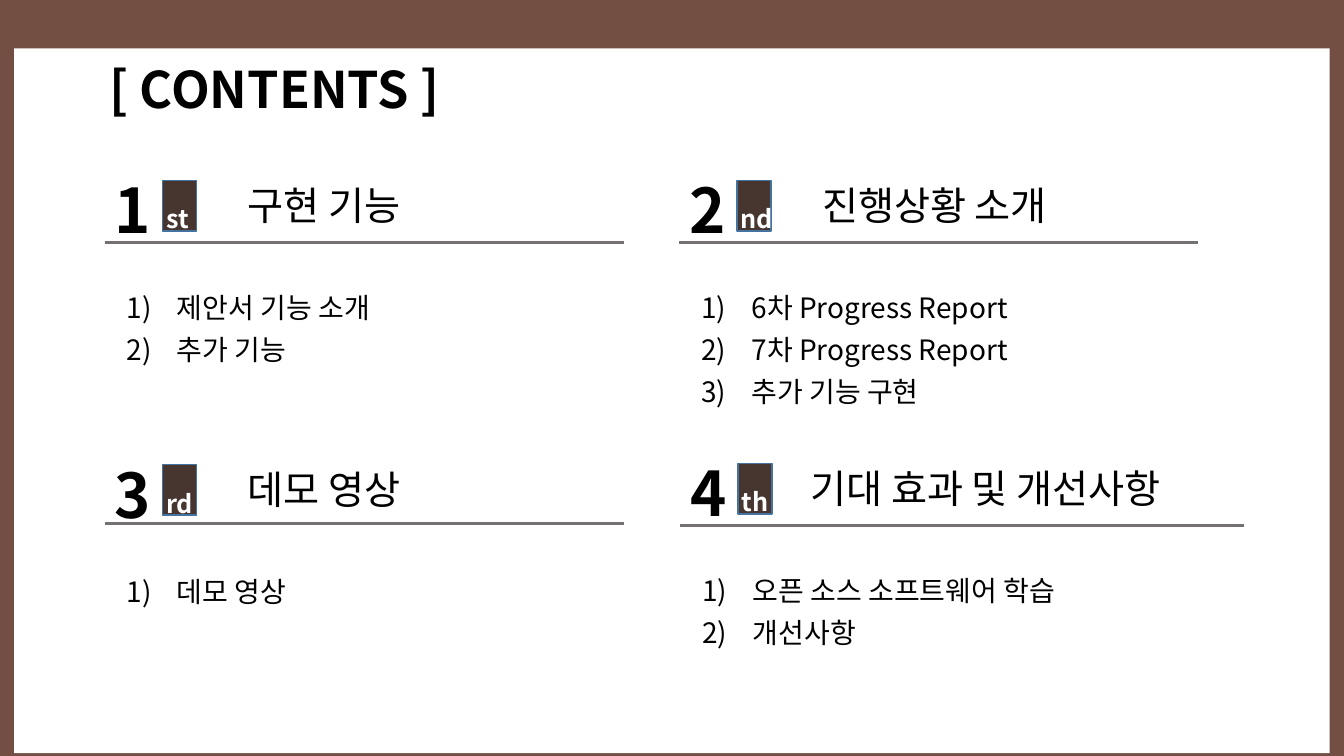
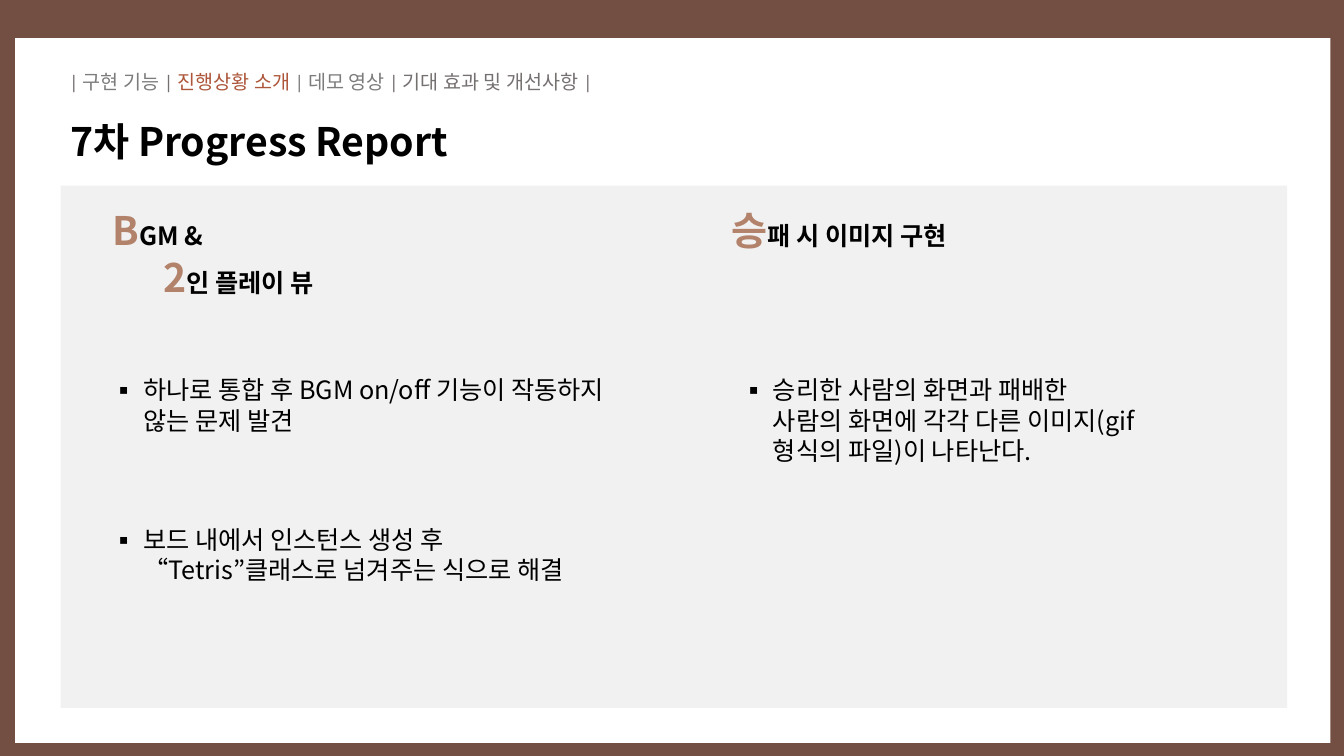
from dataclasses import dataclass

from lxml.etree import SubElement
from pptx import Presentation
from pptx.dml.color import RGBColor
from pptx.enum.shapes import MSO_CONNECTOR as Connector, MSO_SHAPE as Shape
from pptx.enum.text import MSO_AUTO_SIZE as AutoSize
from pptx.oxml.ns import qn
from pptx.util import Cm, Pt


@dataclass(frozen=True)
class Theme:
    font: str = "Noto Sans CJK KR"
    menu_font: str = "Calibri"
    frame: str = "734F43"
    paper: str = "FFFFFF"
    panel: str = "F1F1F1"
    ink: str = "000000"
    rule: str = "767171"
    menu: str = "7C7C7C"
    menu_active: str = "AD563A"
    initial: str = "B2826B"
    badge: str = "47362F"
    badge_line: str = "43739E"
    contents_size: int = 36
    number_size: int = 44
    heading_size: int = 28
    item_size: int = 20
    body_size: int = 18
    menu_size: int = 14


@dataclass(frozen=True)
class Span:
    """A stretch of text that may differ from its paragraph's font."""
    text: str
    color: str | None = None
    size: int | None = None


@dataclass(frozen=True)
class Bullet:
    tag: str
    attribute: str
    value: str
    indent: float


@dataclass(frozen=True)
class Section:
    left: float
    top: float
    number: str
    suffix: str
    heading: str
    items: tuple
    heading_offset: float = 3.35
    rule_offset: float = 1.9
    rule_width: float = 13.08


THEME = Theme()
NUMBERED = Bullet("a:buAutoNum", "type", "arabicParenR", 1.27)
SQUARE = Bullet("a:buChar", "char", "▪", 0.79)

SECTIONS = (
    Section(2.64, 4.22, "1", "st", "구현 기능",
            ("제안서 기능 소개", "추가 기능")),
    Section(2.64, 11.38, "3", "rd", "데모 영상", ("데모 영상",),
            rule_offset=1.82),
    Section(17.12, 4.22, "2", "nd", "진행상황 소개",
            ("6차 Progress Report", "7차 Progress Report", "추가 기능 구현")),
    Section(17.15, 11.35, "4", "th", "기대 효과 및 개선사항",
            ("오픈 소스 소프트웨어 학습", "개선사항"),
            heading_offset=3.02, rule_width=14.2),
)


def rgb(color):
    return RGBColor.from_string(color)


def add_rectangle(shapes, box, fill, line=None):
    shape = shapes.add_shape(Shape.RECTANGLE, *map(Cm, box))
    shape.shadow.inherit = False
    shape.fill.solid()
    shape.fill.fore_color.rgb = rgb(fill)
    if line:
        shape.line.color.rgb = rgb(line)
        shape.line.width = Pt(1)
    else:
        shape.line.fill.background()


def add_rule(shapes, left, top, width):
    rule = shapes.add_connector(
        Connector.STRAIGHT, Cm(left), Cm(top), Cm(left + width), Cm(top))
    rule.line.color.rgb = rgb(THEME.rule)
    rule.line.width = Pt(2.25)
    SubElement(rule._element.spPr, qn("a:effectLst"))


def set_bullet(paragraph, bullet):
    properties = paragraph._p.get_or_add_pPr()
    indent = Cm(bullet.indent)
    properties.set("marL", str(indent))
    properties.set("indent", str(-indent))
    SubElement(properties, qn("a:buFont")).set("typeface", THEME.font)
    SubElement(properties, qn(bullet.tag)).set(bullet.attribute, bullet.value)


def set_font(paragraph, size, color, bold, name):
    """Set the paragraph font, with the theme font for Korean letters."""
    font = paragraph.font
    font.size = Pt(size)
    font.bold = bold
    font.color.rgb = rgb(color)
    font.name = name
    defaults = paragraph._p.pPr.find(qn("a:defRPr"))
    SubElement(defaults, qn("a:ea")).set("typeface", THEME.font)


def add_text(shapes, box, paragraphs, size, color=THEME.ink, bold=False,
             name=THEME.font, bullet=None, line_spacing=None):
    """Add a text box; each paragraph is a tuple of spans."""
    frame = shapes.add_textbox(*map(Cm, box)).text_frame
    frame.word_wrap = True
    frame.auto_size = AutoSize.SHAPE_TO_FIT_TEXT
    for index, spans in enumerate(paragraphs):
        paragraph = frame.add_paragraph() if index else frame.paragraphs[0]
        if line_spacing:
            paragraph.line_spacing = Pt(line_spacing)
        if bullet:
            set_bullet(paragraph, bullet)
        set_font(paragraph, size, color, bold, name)
        for span in spans:
            run = paragraph.add_run()
            run.text = span.text
            if span.color:
                run.font.color.rgb = rgb(span.color)
            if span.size:
                run.font.size = Pt(span.size)


def add_line(shapes, box, text, size, **style):
    add_text(shapes, box, [(Span(text),)], size, **style)


def add_framed_slide(presentation, left, top):
    """Add a slide with a white page on the brown frame."""
    slide = presentation.slides.add_slide(presentation.slide_layouts[6])
    slide.background.fill.solid()
    slide.background.fill.fore_color.rgb = rgb(THEME.frame)
    add_rectangle(slide.shapes, (left, top, 33.15, 17.76), THEME.paper)
    return slide


def add_section(slide, section):
    shapes = slide.shapes.add_group_shape().shapes
    left, top = section.left, section.top
    add_rule(shapes, left, top + section.rule_offset, section.rule_width)
    add_line(shapes, (left, top, 1.47, 2.13), section.number,
             THEME.number_size, bold=True)
    add_rectangle(shapes, (left + 1.45, top + 0.33, 0.86, 1.27),
                  THEME.badge, THEME.badge_line)
    add_line(shapes, (left + 1.3, top + 0.79, 1.47, 1.02), section.suffix,
             THEME.body_size, color=THEME.paper, bold=True)
    add_line(shapes, (left + section.heading_offset, top + 0.23, 10.64, 1.45),
             section.heading, THEME.heading_size)
    add_text(shapes, (left + 0.3, top + 2.77, 13.08, 2.39),
             [(Span(item),) for item in section.items], THEME.item_size,
             bullet=NUMBERED, line_spacing=30)


def add_topic_heading(slide, box, lines):
    """Add a bold heading whose lines each start with a large initial."""
    paragraphs = [
        (Span(initial, THEME.initial, THEME.heading_size), Span(rest))
        for initial, rest in lines]
    add_text(slide.shapes, box, paragraphs, THEME.body_size, bold=True)


def add_point(slide, box, text):
    add_line(slide.shapes, box, text, THEME.body_size, bullet=SQUARE)


def build_contents(presentation):
    slide = add_framed_slide(presentation, 0.36, 1.22)
    add_line(slide.shapes, (2.51, 1.35, 15.75, 1.8), "[ CONTENTS ]",
             THEME.contents_size, bold=True)
    for section in SECTIONS:
        add_section(slide, section)


def build_progress_report(presentation):
    slide = add_framed_slide(presentation, 0.38, 0.96)
    menu = (
        Span("| "), Span("구현 기능 ", THEME.menu), Span("| "),
        Span("진행상황 소개 ", THEME.menu_active),
        Span("| 데모 영상 ", THEME.menu), Span("| 기대 효과 및 개선사항 |"))
    add_text(slide.shapes, (1.5, 1.63, 18.24, 0.86), [menu], THEME.menu_size,
             color=THEME.rule, name=THEME.menu_font)
    add_line(slide.shapes, (1.52, 2.82, 11.3, 1.45), "7차 Progress Report",
             THEME.heading_size, bold=True)
    add_rectangle(slide.shapes, (1.53, 4.68, 30.91, 13.16), THEME.panel)
    add_topic_heading(slide, (2.59, 5.08, 11.76, 2.64),
                      [("B", "GM &"), ("\t2", "인 플레이 뷰")])
    add_topic_heading(slide, (18.19, 5.08, 7.14, 1.45),
                      [("승", "패 시 이미지 구현")])
    add_point(slide, (18.44, 9.32, 10.46, 2.57),
              "승리한 사람의 화면과 패배한 사람의 화면에 각각 다른 "
              "이미지(gif형식의 파일)이 나타난다.")
    add_point(slide, (2.57, 9.32, 13.69, 1.8),
              "하나로 통합 후 BGM on/off 기능이 작동하지 않는 문제 발견")
    add_point(slide, (2.57, 13.08, 13.69, 1.8),
              "보드 내에서 인스턴스 생성 후 “Tetris”클래스로 넘겨주는 "
              "식으로 해결")


def main():
    presentation = Presentation()
    presentation.slide_width = Cm(33.87)
    presentation.slide_height = Cm(19.05)
    build_contents(presentation)
    build_progress_report(presentation)
    presentation.save("out.pptx")


if __name__ == "__main__":
    main()
